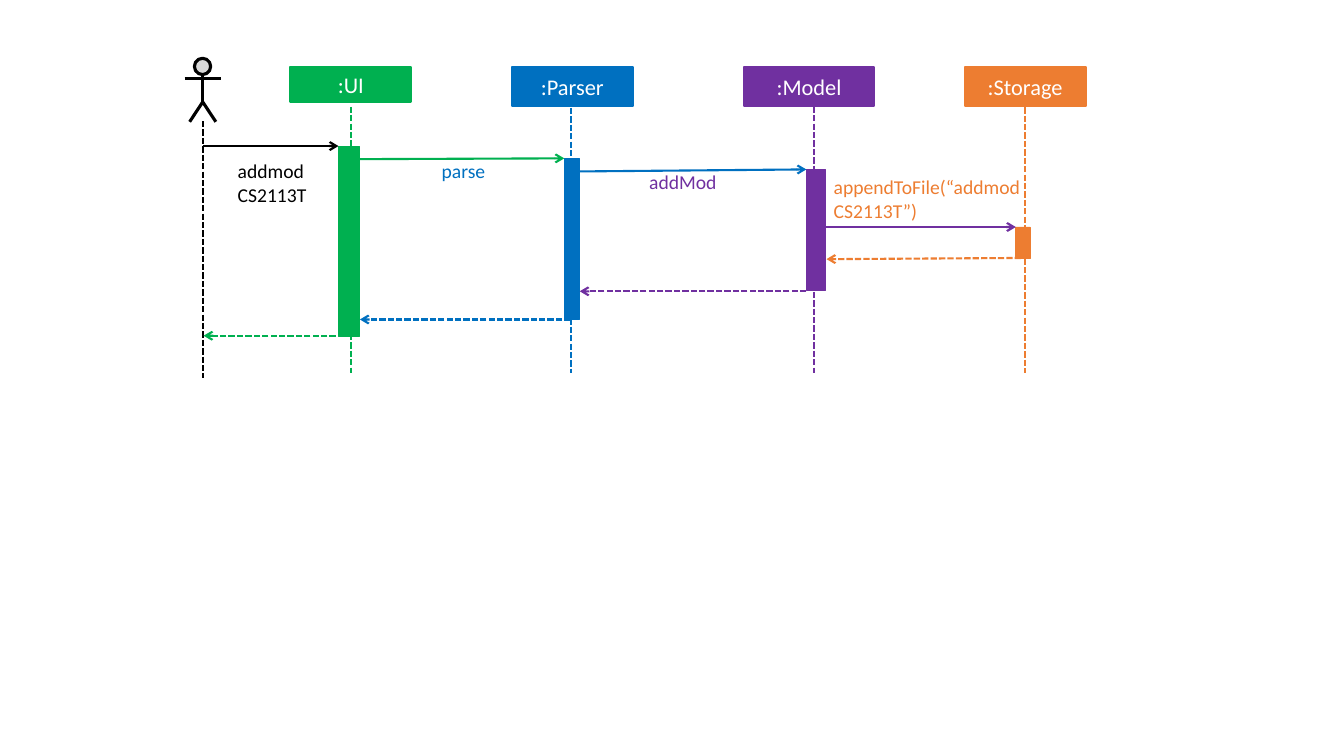
from dataclasses import dataclass

import pptx
import pptx.dml.color
import pptx.enum.dml
import pptx.enum.shapes
import pptx.enum.text
import pptx.oxml
import pptx.oxml.ns
import pptx.util
from pptx.util import Cm, Pt

SHAPE = pptx.enum.shapes.MSO_SHAPE
ALIGN = pptx.enum.text.PP_ALIGN
COLORS = {
    "actor": "000000",
    "face": "D9D9D9",
    "ui": "00B050",
    "parser": "0070C0",
    "model": "7030A0",
    "storage": "ED7D31",
    "white": "FFFFFF",
}
HEAD_TOP = 1.7
LIFELINE_END = 9.4
ACTOR_X = 5.11
LABEL_FORMAT = {
    "margin_left": 0,
    "margin_top": 0,
    "margin_right": 0,
    "margin_bottom": 0,
    "word_wrap": True,
    "auto_size": pptx.enum.text.MSO_AUTO_SIZE.SHAPE_TO_FIT_TEXT,
}
HEAD_FORMAT = {
    "word_wrap": True,
    "vertical_anchor": pptx.enum.text.MSO_ANCHOR.MIDDLE,
}


@dataclass
class Participant:
    name: str
    color: str
    head: tuple[float, float, float]
    lifeline: tuple[float, float]
    bar: tuple[float, float, float, float]


@dataclass
class Message:
    color: str
    start: tuple[float, float]
    end: tuple[float, float]
    dashed: bool = False


@dataclass
class Label:
    lines: list[str]
    color: str
    box: tuple[float, float, float, float]


PARTICIPANTS = [
    Participant(":UI", "ui", (7.32, 3.05, 0.86), (8.84, 2.69), (8.53, 3.68, 0.53, 4.8)),
    Participant(":Parser", "parser", (12.9, 3.05, 0.97), (14.4, 2.72), (14.22, 3.99, 0.38, 4.06)),
    Participant(":Model", "model", (18.75, 3.28, 0.97), (20.52, 2.69), (20.32, 4.27, 0.48, 3.05)),
    Participant(":Storage", "storage", (24.31, 3.05, 0.97), (25.83, 2.49), (25.6, 5.72, 0.36, 0.79)),
]
MESSAGES = [
    Message("actor", (ACTOR_X, 3.68), (8.53, 3.68)),
    Message("ui", (9.07, 4.01), (14.22, 3.99)),
    Message("parser", (14.61, 4.32), (20.32, 4.27)),
    Message("model", (20.8, 5.72), (25.6, 5.72)),
    Message("storage", (25.73, 6.5), (20.83, 6.53), True),
    Message("model", (20.32, 7.34), (14.61, 7.34), True),
    Message("parser", (14.38, 8.05), (9.07, 8.05), True),
    Message("ui", (8.46, 8.46), (5.13, 8.46), True),
]
LABELS = [
    Label(["addmod", "CS2113T"], "actor", (5.99, 4.01, 1.96, 1.19)),
    Label(["parse"], "parser", (11.13, 4.01, 1.5, 0.61)),
    Label(["addMod"], "model", (16.36, 4.29, 3.96, 0.61)),
    Label(["appendToFile(“addmod CS2113T”)"], "storage", (21.01, 4.42, 4.78, 1.19)),
]


def rgb(color: str) -> pptx.dml.color.RGBColor:
    return pptx.dml.color.RGBColor.from_string(COLORS[color])


def apply(target, values: dict) -> None:
    for name, value in values.items():
        setattr(target, name, value)


def set_line(sp, color: str, width: float) -> None:
    sp.line.color.rgb = rgb(color)
    sp.line.width = Pt(width)


def add_block(shapes, kind, box: tuple, fill: str, color: str, width: float):
    sp = shapes.add_shape(kind, *map(Cm, box))
    sp.shadow.inherit = False
    sp.fill.solid()
    sp.fill.fore_color.rgb = rgb(fill)
    set_line(sp, color, width)
    return sp


def add_line(shapes, start: tuple, end: tuple, color: str, width: float = 1.5,
             dashed: bool = False, arrow: bool = False) -> None:
    sp = shapes.add_connector(pptx.enum.shapes.MSO_CONNECTOR.STRAIGHT, *map(Cm, start + end))
    set_line(sp, color, width)
    if dashed:
        sp.line.dash_style = pptx.enum.dml.MSO_LINE.SQUARE_DOT
    props = sp.element.spPr
    if arrow:
        tail = pptx.oxml.parse_xml(f'<a:tailEnd {pptx.oxml.ns.nsdecls("a")} type="arrow"/>')
        props.find(pptx.oxml.ns.qn("a:ln")).append(tail)
    props.append(pptx.oxml.parse_xml(f'<a:effectLst {pptx.oxml.ns.nsdecls("a")}/>'))


def write(tf, lines: list[str], size: int, color: str, align, values: dict) -> None:
    apply(tf, values)
    for i, line in enumerate(lines):
        p = tf.add_paragraph() if i else tf.paragraphs[0]
        p.alignment = align
        r = p.add_run()
        r.text = line
        apply(r.font, {"name": "Calibri", "size": Pt(size)})
        r.font.color.rgb = rgb(color)


def add_actor(shapes) -> None:
    parts = shapes.add_group_shape().shapes
    add_block(parts, SHAPE.FLOWCHART_CONNECTOR, (4.9, 1.47, 0.41, 0.41), "face", "actor", 2.25)
    add_line(parts, (ACTOR_X, 1.88), (ACTOR_X, 2.59), "actor", 2.25)
    legs = parts.build_freeform(Cm(ACTOR_X - 0.33), Cm(3.07))
    legs.add_line_segments([(Cm(ACTOR_X), Cm(2.57)), (Cm(ACTOR_X + 0.33), Cm(3.07))], close=False)
    sp = legs.convert_to_shape()
    sp.shadow.inherit = False
    sp.fill.background()
    set_line(sp, "actor", 2.25)
    add_line(parts, (4.65, 1.98), (5.56, 1.98), "actor", 2.25)


def add_participant(shapes, item: Participant) -> None:
    left, width, height = item.head
    head = add_block(shapes, SHAPE.RECTANGLE, (left, HEAD_TOP, width, height), item.color, item.color, 1.5)
    write(head.text_frame, [item.name], 16, "white", ALIGN.CENTER, HEAD_FORMAT)
    add_line(shapes, item.lifeline, (item.lifeline[0], LIFELINE_END), item.color, dashed=True)
    add_block(shapes, SHAPE.RECTANGLE, item.bar, item.color, item.color, 0.5)


def add_label(shapes, label: Label) -> None:
    sp = shapes.add_textbox(*map(Cm, label.box))
    write(sp.text_frame, label.lines, 14, label.color, ALIGN.LEFT, LABEL_FORMAT)


prs = pptx.Presentation()
apply(prs, {"slide_width": Cm(33.87), "slide_height": Cm(19.05)})
s = prs.slides.add_slide(prs.slide_layouts[6])

add_actor(s.shapes)
add_line(s.shapes, (ACTOR_X, 3.05), (ACTOR_X, 9.53), "actor", dashed=True)
for item in PARTICIPANTS:
    add_participant(s.shapes, item)
for m in MESSAGES:
    add_line(s.shapes, m.start, m.end, m.color, dashed=m.dashed, arrow=True)
for label in LABELS:
    add_label(s.shapes, label)

prs.save("out.pptx")
